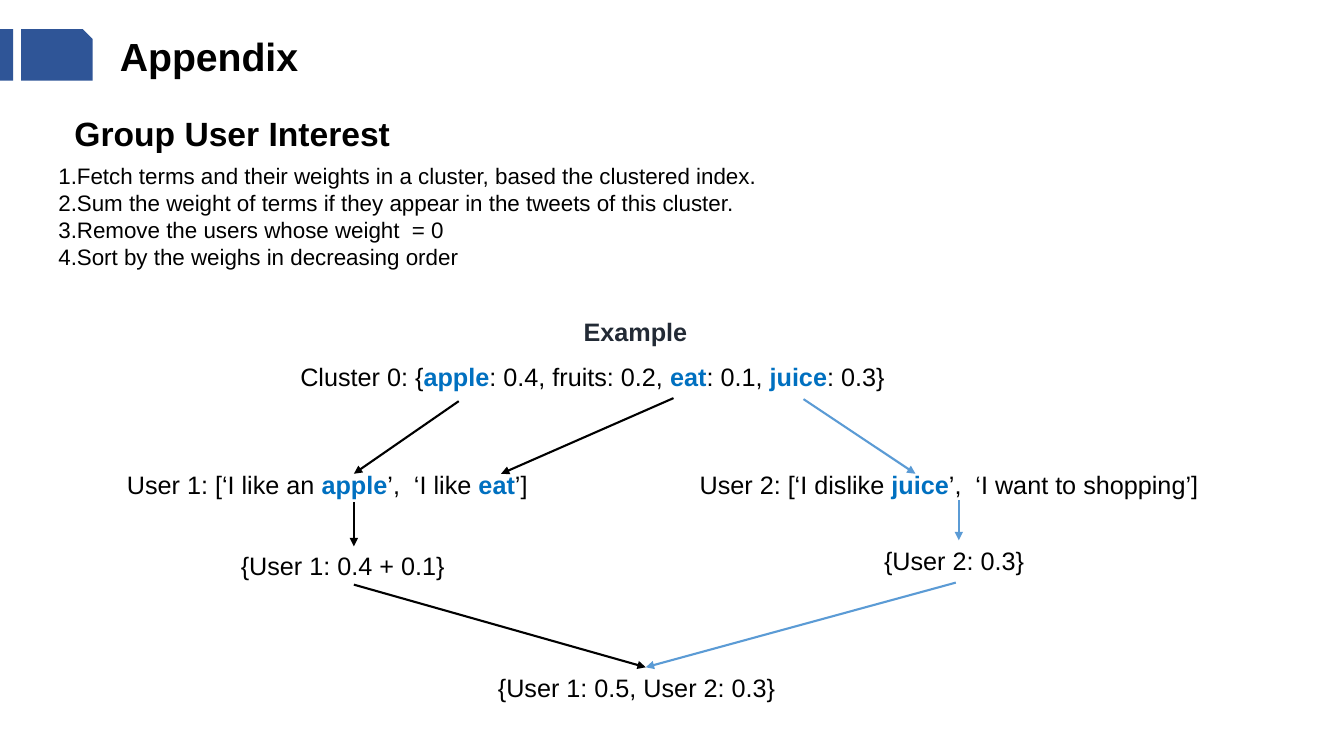
from lxml import etree
from pptx import Presentation
from pptx import util as u
from pptx.dml.color import RGBColor
from pptx.enum import shapes, text
from pptx.oxml.ns import qn

BLACK = RGBColor(0x00, 0x00, 0x00)
NAVY = RGBColor(0x2F, 0x55, 0x97)
SLATE = RGBColor(0x22, 0x2A, 0x35)
KEYWORD = RGBColor(0x00, 0x70, 0xC0)
SKY = RGBColor(0x5B, 0x9B, 0xD5)

STEPS = [
    "Fetch terms and their weights in a cluster, based the clustered index.",
    "Sum the weight of terms if they appear in the tweets of this cluster.",
    "Remove the users whose weight  = 0",
    "Sort by the weighs in decreasing order",
]


def add_text(page, box, lines, size, color=BLACK, bold=False):
    """Place lines in a text box; words between asterisks become keywords."""
    label = page.shapes.add_textbox(*map(u.Inches, box))
    frame = label.text_frame
    frame.word_wrap = True
    frame.auto_size = text.MSO_AUTO_SIZE.SHAPE_TO_FIT_TEXT
    for index, line in enumerate(lines):
        para = frame.paragraphs[0] if index == 0 else frame.add_paragraph()
        para.font.name = "Arial"
        para.font.size = u.Pt(size)
        para.font.bold = bold
        para.font.color.rgb = color
        for part, words in enumerate(line.split("*")):
            span = para.add_run()
            span.text = words
            if part % 2:
                span.font.bold = True
                span.font.color.rgb = KEYWORD
    return label


def add_arrow(page, start, end, color, target=None):
    """Draw an arrow, joined to the top of the target if one is given."""
    arrow = page.shapes.add_connector(
        shapes.MSO_CONNECTOR.STRAIGHT, *map(u.Inches, start + end))
    arrow.line.color.rgb = color
    arrow.line.width = u.Pt(1.5)
    etree.SubElement(arrow.line._get_or_add_ln(), qn("a:tailEnd"), type="triangle")
    etree.SubElement(arrow._element.spPr, qn("a:effectLst"))
    if target is not None:
        arrow.end_connect(target, 0)


def add_title(page, left, top):
    for offset, width, snip in [(0.21, 0.71, 0.193), (0, 0.13, 0)]:
        block = page.shapes.add_shape(
            shapes.MSO_SHAPE.SNIP_1_RECTANGLE,
            *map(u.Inches, (left + offset, top + 0.02, width, 0.51)))
        block.adjustments[0] = snip
        block.shadow.inherit = False
        block.fill.solid()
        block.fill.fore_color.rgb = NAVY
        block.line.fill.background()
    add_text(page, (left + 1.09, top, 5.28, 0.57), ["Appendix"], 28, bold=True)


def add_method(page, left, top):
    """Place the heading and the numbered steps."""
    heading = add_text(page, (left + 0.16, top, 6.18, 0.56),
                       ["Group User Interest"], 24, bold=True)
    heading.text_frame.auto_size = text.MSO_AUTO_SIZE.NONE
    para = heading.text_frame.paragraphs[0]
    para.line_spacing = 1.2
    para.space_before = u.Pt(10)

    steps = add_text(page, (left, top + 0.57, 9.88, 1.18), STEPS, 16)
    for para in steps.text_frame.paragraphs:
        props = para._p.get_or_add_pPr()
        props.set("marL", "0")
        props.set("indent", str(-u.Inches(0.38)))
        number = etree.Element(qn("a:buAutoNum"), type="arabicPeriod")
        props.insert_element_before(number, "a:tabLst", "a:defRPr", "a:extLst")


def add_example(page, left, top):
    """Place the worked example, from the cluster down to the result."""
    def label(x, y, width, words, **style):
        return add_text(page, (left + x, top + y, width, 0.4), [words], 18, **style)

    label(4.53, 0, 1.24, "Example", color=SLATE, bold=True)
    label(1.72, 0.45, 9.88, "Cluster 0: {*apple*: 0.4, fruits: 0.2, *eat*: 0.1, *juice*: 0.3}")
    label(0, 1.52, 9.88, "User 1: [‘I like an *apple*’,  ‘I like *eat*’]")
    label(5.68, 1.52, 6.49, "User 2: [‘I dislike *juice*’,  ‘I want to shopping’]")
    label(1.13, 2.32, 2.26, "{User 1: 0.4 + 0.1}")
    label(7.51, 2.27, 2.2, "{User 2: 0.3}")
    result = label(3.68, 3.53, 3.13, "{User 1: 0.5, User 2: 0.3}")

    arrows = [
        ((3.39, 0.89), (2.35, 1.61), BLACK, None),
        ((5.52, 0.86), (3.81, 1.61), BLACK, None),
        ((6.81, 0.87), (7.92, 1.61), SKY, None),
        ((8.35, 1.87), (8.35, 2.27), SKY, None),
        ((2.35, 1.89), (2.35, 2.33), BLACK, None),
        ((2.35, 2.71), (5.24, 3.53), BLACK, result),
        ((8.32, 2.69), (5.24, 3.53), SKY, result),
    ]
    for (x1, y1), (x2, y2), color, target in arrows:
        add_arrow(page, (left + x1, top + y1), (left + x2, top + y2), color, target)


def main():
    deck = Presentation()
    deck.slide_width, deck.slide_height = u.Inches(13.33), u.Inches(7.5)
    page = deck.slides.add_slide(deck.slide_layouts[6])
    add_title(page, 0, 0.27)
    add_method(page, 0.48, 0.99)
    add_example(page, 1.16, 3.09)
    deck.save("out.pptx")


if __name__ == "__main__":
    main()
